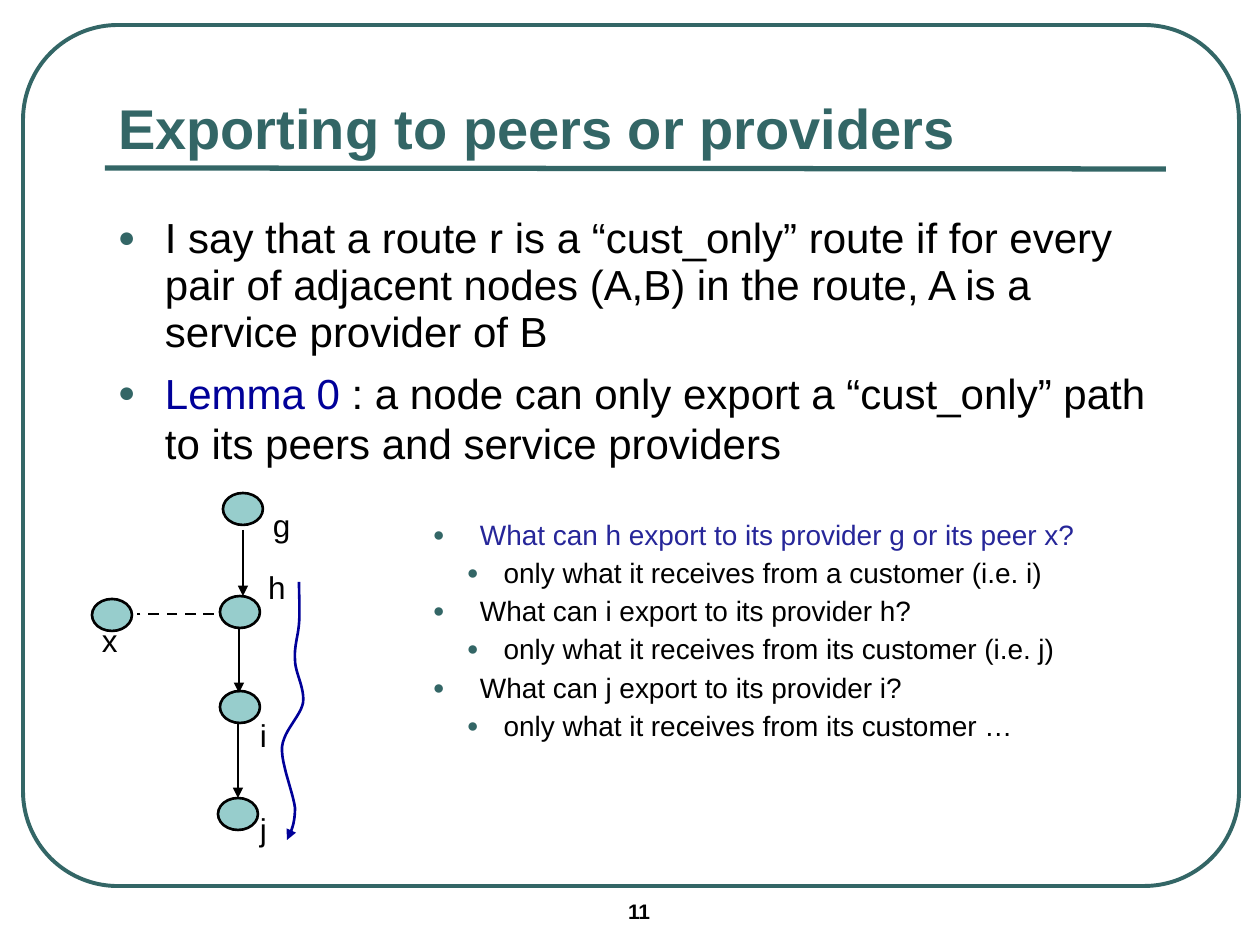
from lxml import etree
from pptx import Presentation
from pptx.dml.color import RGBColor
from pptx.enum.dml import MSO_LINE
from pptx.enum.shapes import MSO_CONNECTOR, MSO_SHAPE
from pptx.enum.text import MSO_ANCHOR, MSO_AUTO_SIZE, PP_ALIGN
from pptx.oxml.ns import qn
from pptx.util import Pt

STRAIGHT = MSO_CONNECTOR.STRAIGHT
ELLIPSE, ROUNDED = MSO_SHAPE.OVAL, MSO_SHAPE.ROUNDED_RECTANGLE
TOP, BOTTOM = MSO_ANCHOR.TOP, MSO_ANCHOR.BOTTOM
LEFT, NO_FIT, DASH = PP_ALIGN.LEFT, MSO_AUTO_SIZE.NONE, MSO_LINE.DASH

FONT = "Arial"
SCALE = 914400 / 126  # EMU in one px
COLORS = {
    "teal": "336666",
    "node": "97CDCC",
    "black": "000000",
    "navy": "000099",
    "question": "262699",
}

NODE_SIZE = (40, 32)
# name: (node left, node top, label left, label top)
NODES = {
    "g": (223, 493, 273, 509),
    "h": (220, 596, 268, 571),
    "i": (220, 691, 260, 719),
    "j": (218, 798, 260, 813),
    "x": (92, 599, 102, 624),
}
CUSTOMER_LINKS = [
    (243, 530, 243, 596),
    (239, 627, 239, 693),
    (238, 723, 238, 798),
]
PEER_LINK = (214, 614, 137, 614)
# Start point, then two control points and an end point for each bend
ROUTE_START = (299, 582)
ROUTE_BENDS = [
    ((299, 596), (300, 610), (299, 624)),
    ((298, 636), (294, 647), (295, 660)),
    ((295, 673), (305, 688), (303, 703)),
    ((300, 717), (284, 730), (282, 747)),
    ((281, 764), (293, 792), (295, 808)),
    ((295, 824), (291, 832), (287, 840)),
]

STATEMENTS = [
    ([("I say that a route r is a “cust_only” route if for every pair of adjacent "
       "nodes (A,B) in the route, A is a service provider of B", "black")], 0.93),
    ([("Lemma 0", "navy"),
      (" : a node can only export a “cust_only” path to its peers and service "
       "providers", "black")], 1.0),
]
QUESTIONS = [
    ("What can h export to its provider g or its peer x?", "question",
     " only what it receives from a customer (i.e. i)"),
    ("What can i export to its provider h?", "black",
     " only what it receives from its customer (i.e. j)"),
    ("What can j export to its provider i?", "black",
     " only what it receives from its customer …"),
]


def px(length):
    return round(length * SCALE)


def rgb(name):
    return RGBColor.from_string(COLORS[name])


def style_line(shape, color, width, dash=None, arrow=False):
    shape.line.color.rgb = rgb(color)
    shape.line.width = Pt(width)
    if dash:
        shape.line.dash_style = dash
    if arrow:
        line = shape.line._get_or_add_ln()
        etree.SubElement(line, qn("a:tailEnd"), type="triangle")


def write_text(paragraph, text, size=24, color="black", bold=False):
    run = paragraph.add_run()
    run.text = text
    run.font.name = FONT
    run.font.size = Pt(size)
    run.font.bold = bold
    run.font.color.rgb = rgb(color)
    paragraph.alignment = LEFT


def set_bullet(paragraph, margin, indent):
    properties = paragraph._p.get_or_add_pPr()
    properties.set("marL", str(px(margin)))
    properties.set("indent", str(px(indent)))
    bullet_color = etree.SubElement(properties, qn("a:buClr"))
    etree.SubElement(bullet_color, qn("a:srgbClr"), val=COLORS["teal"])
    etree.SubElement(properties, qn("a:buSzPct"), val="70000")
    etree.SubElement(properties, qn("a:buFont"), typeface=FONT)
    etree.SubElement(properties, qn("a:buChar"), char="●")


def place_frame(shape, box, anchor=TOP, inset=True, wrap=True):
    shape.left, shape.top, shape.width, shape.height = map(px, box)
    frame = shape.text_frame
    frame.auto_size = NO_FIT
    frame.word_wrap = wrap
    frame.vertical_anchor = anchor
    frame.margin_left = frame.margin_right = px(13 if inset else 0)
    frame.margin_top = frame.margin_bottom = px(6 if inset else 0)
    return frame


def add_text_box(slide, box, **layout):
    shape = slide.shapes.add_textbox(*map(px, box))
    return place_frame(shape, box, **layout)


def add_label(slide, text, box, **text_format):
    frame = add_text_box(slide, box, inset=text_format.pop("inset", False), wrap=False)
    paragraph = frame.paragraphs[0]
    paragraph.line_spacing = 0.93
    write_text(paragraph, text, **text_format)


def add_bullets(slide, box, items, size, space):
    """Each item holds level, runs and line spacing."""
    frame = add_text_box(slide, box)
    for index, (level, runs, line_spacing) in enumerate(items):
        paragraph = frame.add_paragraph() if index else frame.paragraphs[0]
        paragraph.level = level
        paragraph.line_spacing = line_spacing
        paragraph.space_before = Pt(space)
        margin, indent = (63, -29) if level else (47, -47)
        set_bullet(paragraph, margin, indent)
        for text, color in runs:
            write_text(paragraph, text, size=size, color=color)


def add_shape(slide, kind, box, fill=None, width=1.5, color="black"):
    shape = slide.shapes.add_shape(kind, *map(px, box))
    shape.shadow.inherit = False
    if fill:
        shape.fill.solid()
        shape.fill.fore_color.rgb = rgb(fill)
    else:
        shape.fill.background()
    style_line(shape, color, width)
    return shape


def add_link(slide, ends, color="black", width=1.5, **line_format):
    connector = slide.shapes.add_connector(STRAIGHT, *map(px, ends))
    style_line(connector, color, width, **line_format)
    etree.SubElement(connector._element.spPr, qn("a:effectLst"))


def curve_points(start, bends, steps=12):
    points = []
    for first, second, end in bends:
        for step in range(1, steps + 1):
            t = step / steps
            weights = ((1 - t) ** 3, 3 * t * (1 - t) ** 2, 3 * t * t * (1 - t), t ** 3)
            corners = (start, first, second, end)
            points.append(tuple(sum(w * c[axis] for w, c in zip(weights, corners))
                                for axis in (0, 1)))
        start = end
    return points


def add_route(slide):
    builder = slide.shapes.build_freeform(*map(px, ROUTE_START))
    points = curve_points(ROUTE_START, ROUTE_BENDS)
    builder.add_line_segments([(px(x), px(y)) for x, y in points], close=False)
    route = builder.convert_to_shape()
    route.shadow.inherit = False
    route.fill.background()
    style_line(route, "navy", 1.5, arrow=True)


def main():
    presentation = Presentation()
    presentation.slide_width, presentation.slide_height = px(1260), px(945)
    slide = presentation.slides.add_slide(presentation.slide_layouts[5])

    # Frame, title, rule and slide number
    border = add_shape(slide, ROUNDED, (23, 25, 1216, 861), width=2.25, color="teal")
    border.adjustments[0] = 0.11
    add_link(slide, (105, 168, 1166, 169), color="teal", width=3)
    title = place_frame(slide.shapes.title, (105, 73, 1061, 95), anchor=BOTTOM)
    title.paragraphs[0].line_spacing = 0.93
    write_text(title.paragraphs[0], "Exporting to peers or providers",
               size=32, color="teal", bold=True)
    add_label(slide, "11", (615, 895, 147, 37), inset=True, size=12, bold=True)

    # Definition and lemma
    statements = [(0, runs, spacing) for runs, spacing in STATEMENTS]
    add_bullets(slide, (105, 210, 1061, 331), statements, size=24, space=6)

    # Questions with their answers
    answers = []
    for question, color, answer in QUESTIONS:
        answers += [(0, [(question, color)], 0.93), (1, [(answer, "black")], 0.93)]
    add_bullets(slide, (420, 514, 784, 236), answers, size=16, space=4)

    # Provider chain, peer and route
    for name, (left, top, label_left, label_top) in NODES.items():
        add_shape(slide, ELLIPSE, (left, top, *NODE_SIZE), fill="node")
        add_label(slide, name, (label_left, label_top, 18, 35), size=18)
    for ends in CUSTOMER_LINKS:
        add_link(slide, ends, arrow=True)
    add_link(slide, PEER_LINK, dash=DASH)
    add_route(slide)

    presentation.save("out.pptx")


if __name__ == "__main__":
    main()
